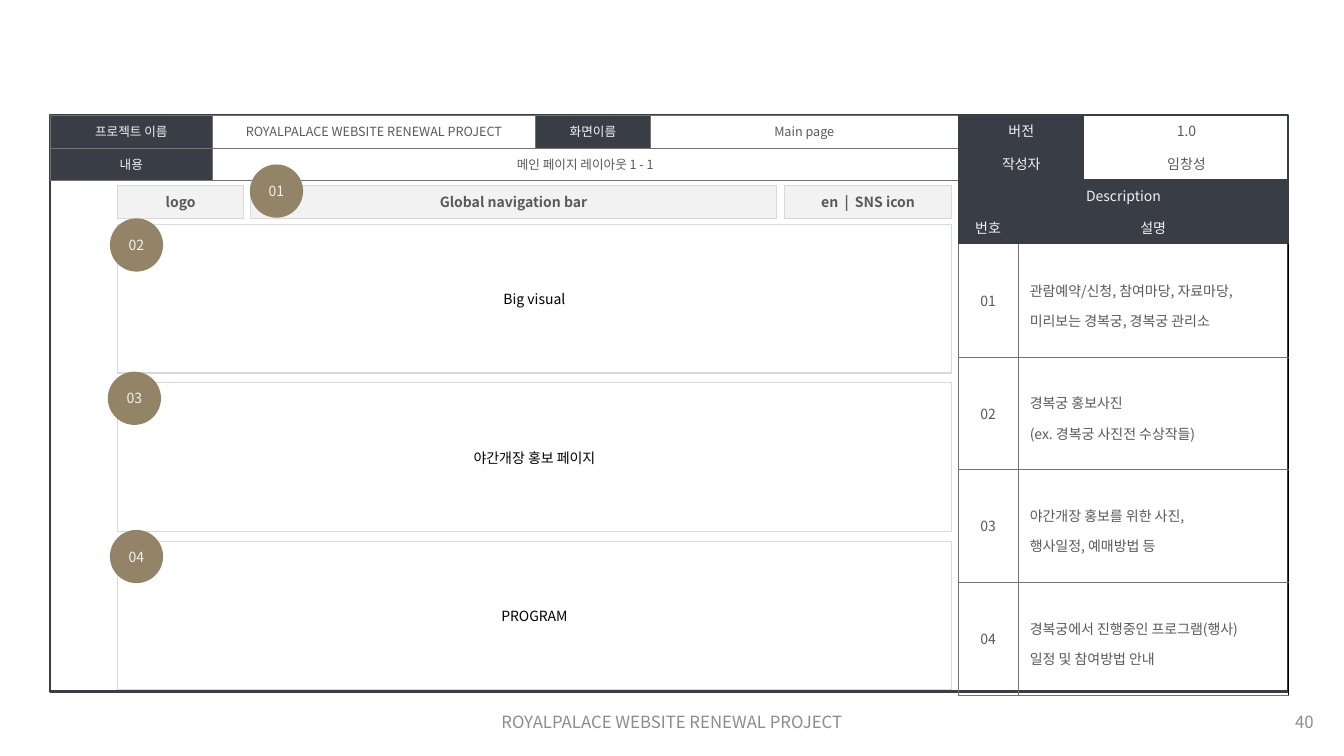
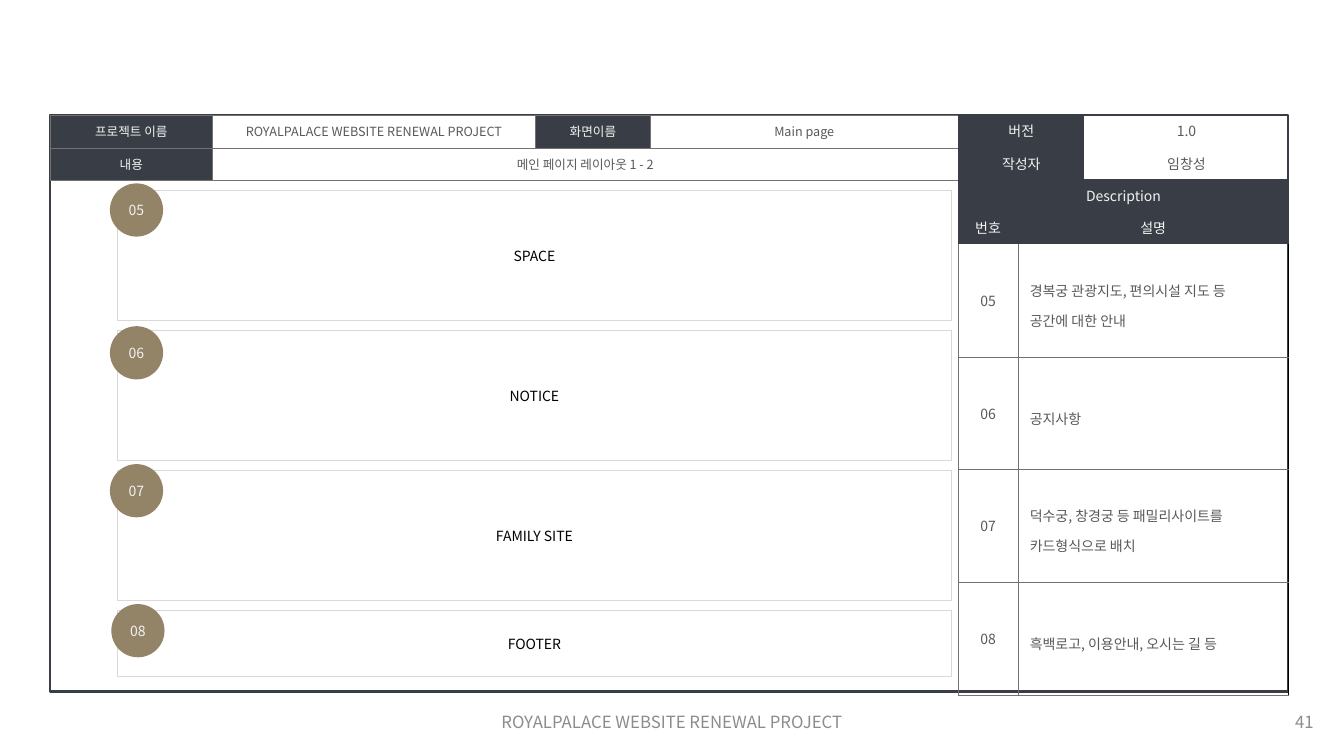
from dataclasses import dataclass

from lxml.etree import SubElement
from pptx import Presentation
from pptx.dml.color import RGBColor
from pptx.enum.shapes import MSO_SHAPE
from pptx.enum.text import MSO_ANCHOR, PP_ALIGN
from pptx.oxml.ns import qn
from pptx.util import Pt

FONT = "Noto Sans CJK KR"
PROJECT = "ROYALPALACE WEBSITE RENEWAL PROJECT"
DARK, LIGHT, TEXT, WHITE, BLACK = "393E46", "F2F2F2", "58595B", "FFFFFF", "000000"
RULE, PANEL_LINE, BADGE, FOOTER = "767171", "D9D9D9", "948467", "8C8C8C"
NO_TABLE_STYLE = "{2D5ABB26-0587-4C30-8999-92F81FD0307C}"

FRAME = (36, 82, 884, 412)
SIDE_LEFT = 684.5
PANEL_LEFT, PANEL_WIDTH, PANEL_GAP = 84, 595.5, 7
BADGE_SIZE = 38
THIN = (RULE, 0.25)


@dataclass
class Section:
    number: str
    label: str
    height: float
    badge_offset: tuple
    description: str


def color(value):
    return RGBColor.from_string(value)


def points(*values):
    return [Pt(value) for value in values]


def write(frame, text, size, ink, align=PP_ALIGN.CENTER, bold=False, spacing=None):
    frame.text = text
    frame.word_wrap = True
    for paragraph in frame.paragraphs:
        paragraph.alignment = align
        if spacing:
            paragraph.line_spacing = spacing
        for run in paragraph.runs:
            run.font.size = Pt(size)
            run.font.bold = bold
            run.font.color.rgb = color(ink)
            run.font.name = FONT
            SubElement(run.font._element, qn("a:ea"), typeface=FONT)


def set_borders(cell, borders):
    """Draw the given sides, a dict of L, R, T, B to (colour, width)."""
    properties = cell._tc.get_or_add_tcPr()
    for side in "LRTB":
        if side in borders:
            ink, width = borders[side]
            line = SubElement(properties, qn(f"a:ln{side}"), w=str(Pt(width)))
            fill = SubElement(line, qn("a:solidFill"))
            SubElement(fill, qn("a:srgbClr"), val=ink)


def format_cell(cell, text, size=10, ink=TEXT, fill=None, margins=(8.6, 4.3), **style):
    cell.vertical_anchor = MSO_ANCHOR.MIDDLE
    cell.margin_left = cell.margin_right = Pt(margins[0])
    cell.margin_top = cell.margin_bottom = Pt(margins[1])
    if fill:
        cell.fill.solid()
        cell.fill.fore_color.rgb = color(fill)
    else:
        cell.fill.background()
    write(cell.text_frame, text, size, ink, **style)


def add_grid(slide, left, top, columns, rows):
    """Add a table without a style, sized by its columns and rows."""
    box = points(left, top, sum(columns), sum(rows))
    table = slide.shapes.add_table(len(rows), len(columns), *box).table
    table.first_row = table.horz_banding = False
    table._tbl.tblPr.find(qn("a:tableStyleId")).text = NO_TABLE_STYLE
    for column, width in zip(table.columns, columns):
        column.width = Pt(width)
    for row, height in zip(table.rows, rows):
        row.height = Pt(height)
    return table


def add_frame(slide):
    frame = slide.shapes.add_shape(MSO_SHAPE.RECTANGLE, *points(*FRAME))
    frame.shadow.inherit = False
    frame.fill.solid()
    frame.fill.fore_color.rgb = color(WHITE)
    frame.line.color.rgb = color(DARK)
    frame.line.width = Pt(1.5)


def add_footer(slide, page):
    for left, width, text, align in (
        (318, 324, PROJECT, PP_ALIGN.CENTER),
        (729.5, 216, page, PP_ALIGN.RIGHT),
    ):
        frame = slide.shapes.add_textbox(*points(left, 501, width, 29)).text_frame
        frame.vertical_anchor = MSO_ANCHOR.MIDDLE
        write(frame, text, 12, FOOTER, align)


def add_header(slide, left, top, content):
    table = add_grid(slide, left, top, (115.5, 231, 82, 220), (23.5, 23.5))
    table.cell(1, 1).merge(table.cell(1, 3))
    rows = (("프로젝트 이름", PROJECT, "화면이름", "Main page"), ("내용", content))
    for row, texts in enumerate(rows):
        for column in range(4):
            set_borders(table.cell(row, column), dict.fromkeys("LRTB", THIN))
        for column, text in enumerate(texts):
            is_label = column % 2 == 0
            format_cell(table.cell(row, column), text, 9, LIGHT if is_label else TEXT,
                        DARK if is_label else None, (6.5, 3.5))


def add_description(slide, left, top, sections):
    table = add_grid(slide, left, top, (42.5, 47.5, 146),
                     [23.1] * 4 + [80.5] * len(sections))
    heading = {"ink": LIGHT, "fill": DARK}
    for row, (label, value) in enumerate((("버전", "1.0"), ("작성자", "임창성"))):
        table.cell(row, 0).merge(table.cell(row, 1))
        format_cell(table.cell(row, 0), label, **heading)
        format_cell(table.cell(row, 2), value)
    table.cell(2, 0).merge(table.cell(2, 2))
    table.cell(3, 1).merge(table.cell(3, 2))
    for row, column, text in ((2, 0, "Description"), (3, 0, "번호"), (3, 1, "설명")):
        format_cell(table.cell(row, column), text, **heading)

    for row, section in enumerate(sections, start=4):
        table.cell(row, 1).merge(table.cell(row, 2))
        sides = "LRB" if row == 4 else "LRTB"
        number_borders = dict.fromkeys(sides, THIN)
        text_borders = {**number_borders, "R": (BLACK, 1)}
        for column, borders in enumerate((number_borders, text_borders, text_borders)):
            set_borders(table.cell(row, column), borders)
        format_cell(table.cell(row, 0), section.number)
        format_cell(table.cell(row, 1), section.description,
                    align=PP_ALIGN.LEFT, spacing=1.5)


def add_panel(slide, left, top, width, height, label, ink=BLACK, fill=WHITE, bold=False):
    cell = add_grid(slide, left, top, (width,), (height,)).cell(0, 0)
    set_borders(cell, dict.fromkeys("LRTB", (PANEL_LINE, 1)))
    format_cell(cell, label, ink=ink, fill=fill, bold=bold)


def add_badge(slide, left, top, number):
    badge = slide.shapes.add_shape(
        MSO_SHAPE.OVAL, *points(left, top, BADGE_SIZE, BADGE_SIZE))
    badge.shadow.inherit = False
    badge.fill.solid()
    badge.fill.fore_color.rgb = color(BADGE)
    badge.line.fill.background()
    frame = badge.text_frame
    frame.margin_left = frame.margin_right = 0
    frame.vertical_anchor = MSO_ANCHOR.MIDDLE
    write(frame, number, 10, LIGHT)


def add_navigation(slide, top, navigation):
    for left, width, label in ((84, 90, "logo"), (179, 375.5, navigation.label),
                               (560.5, 119, "en  |  SNS icon")):
        add_panel(slide, left, top, width, navigation.height, label, TEXT, LIGHT, True)
    dx, dy = navigation.badge_offset
    add_badge(slide, 179 + dx, top + dy, navigation.number)


def add_sections(slide, top, sections):
    """Stack the panels with equal gaps, then lay the badges over them."""
    badges = []
    for section in sections:
        add_panel(slide, PANEL_LEFT, top, PANEL_WIDTH, section.height, section.label)
        dx, dy = section.badge_offset
        badges.append((PANEL_LEFT + dx, top + dy, section.number))
        top += section.height + PANEL_GAP
    for badge in badges:
        add_badge(slide, *badge)


def add_wireframe(presentation, page, content, top, sections, navigation=None):
    slide = presentation.slides.add_slide(presentation.slide_layouts[6])
    left, frame_top = FRAME[:2]
    add_footer(slide, page)
    add_frame(slide)
    add_header(slide, left, frame_top, content)
    described = [navigation, *sections] if navigation else sections
    add_description(slide, SIDE_LEFT, frame_top, described)
    if navigation:
        add_navigation(slide, 132.5, navigation)
    add_sections(slide, top, sections)


NAVIGATION = Section("01", "Global navigation bar", 23.5, (-0.5, -15),
                     "관람예약/신청, 참여마당, 자료마당,\n미리보는 경복궁, 경복궁 관리소")
UPPER_SECTIONS = [
    Section("02", "Big visual", 106, (-5.5, -4.5),
            "경복궁 홍보사진\n(ex. 경복궁 사진전 수상작들)"),
    Section("03", "야간개장 홍보 페이지", 106, (-7, -8),
            "야간개장 홍보를 위한 사진,\n행사일정, 예매방법 등"),
    Section("04", "PROGRAM", 106, (-5.5, -8),
            "경복궁에서 진행중인 프로그램(행사)\n일정 및 참여방법 안내"),
]
LOWER_SECTIONS = [
    Section("05", "SPACE", 93, (-5.5, -5),
            "경복궁 관광지도, 편의시설 지도 등\n공간에 대한 안내"),
    Section("06", "NOTICE", 93, (-5.5, -3), "공지사항"),
    Section("07", "FAMILY SITE", 93, (-5.5, -4.5),
            "덕수궁, 창경궁 등 패밀리사이트를\n카드형식으로 배치"),
    Section("08", "FOOTER", 47, (-4.5, -4.5), "흑백로고, 이용안내, 오시는 길 등"),
]


def main():
    presentation = Presentation()
    presentation.slide_width, presentation.slide_height = points(960, 540)
    add_wireframe(presentation, "40", "메인 페이지 레이아웃 1 - 1", 160.5,
                  UPPER_SECTIONS, NAVIGATION)
    add_wireframe(presentation, "41", "메인 페이지 레이아웃 1 - 2", 136, LOWER_SECTIONS)
    presentation.save("out.pptx")


if __name__ == "__main__":
    main()
